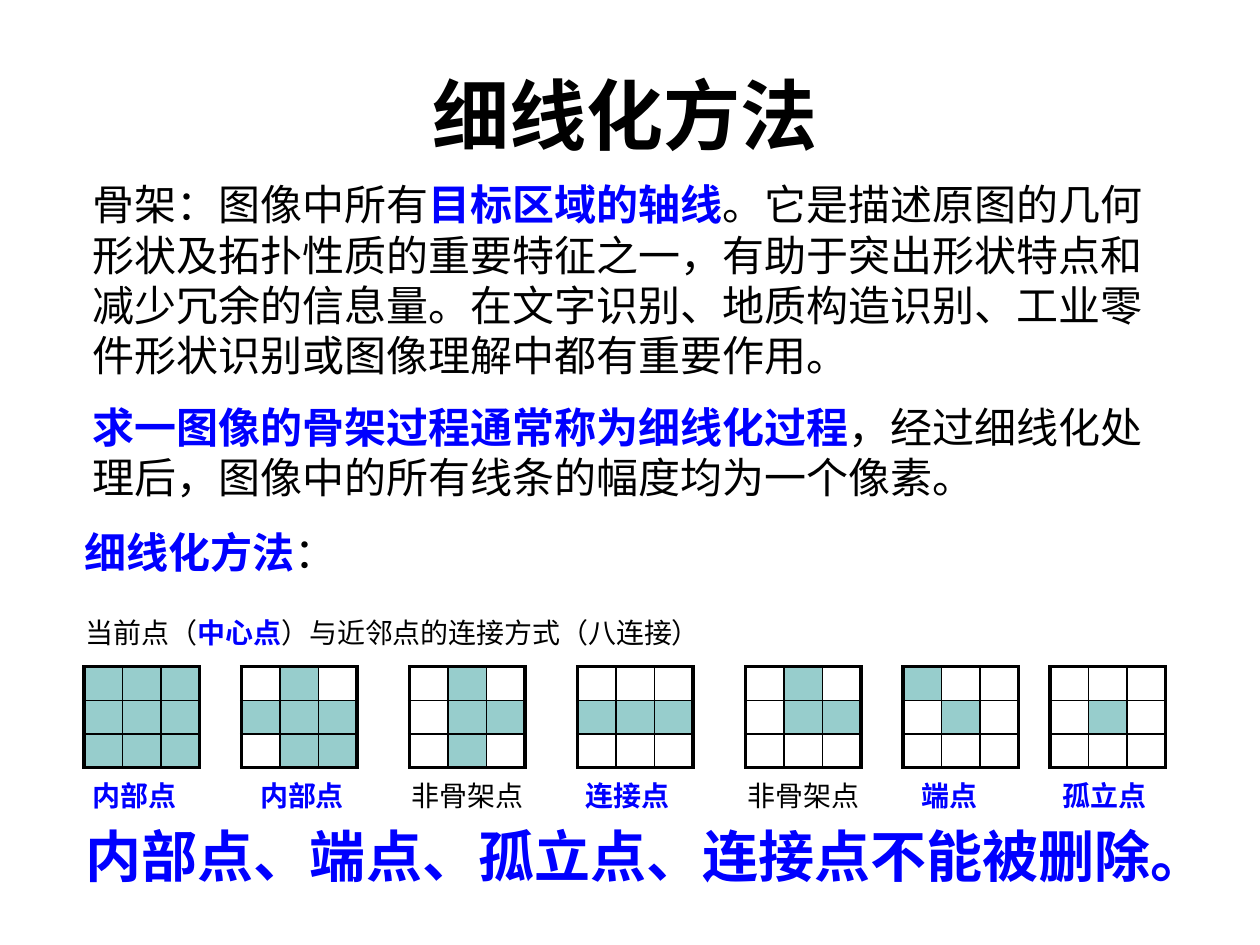
"""Build the slide on thinning methods and skeleton point types."""
from lxml import etree
from pptx import Presentation
from pptx.dml.color import RGBColor
from pptx.enum.shapes import MSO_SHAPE
from pptx.enum.text import MSO_ANCHOR, MSO_AUTO_SIZE, PP_ALIGN
from pptx.oxml.ns import qn
from pptx.util import Pt

RECTANGLE = MSO_SHAPE.RECTANGLE
TOP, BOTTOM = MSO_ANCHOR.TOP, MSO_ANCHOR.BOTTOM
LEFT, CENTER = PP_ALIGN.LEFT, PP_ALIGN.CENTER
FIXED_SIZE, FIT_SHAPE = MSO_AUTO_SIZE.NONE, MSO_AUTO_SIZE.SHAPE_TO_FIT_TEXT

COLORS = {"text": "000000", "key": "0000FF", "paper": "FFFFFF", "point": "97CDCC"}
FONT = "Times New Roman"
GRID_TOP, COLUMN_WIDTH, ROW_HEIGHT = 381, 22, 19.2
OUTER_LINE, INNER_LINE = 2.25, 1
LABEL_TOP, LABEL_SIZE = 441.6, 16

SKELETON = [
    [("骨架：图像中所有", "text"), ("目标区域的轴线", "key"),
     ("。它是描述原图的几何形状及拓扑性质的重要特征之一，有助于突出形状特点和减少冗余的信息量。"
      "在文字识别、地质构造识别、工业零件形状识别或图像理解中都有重要作用。", "text")],
    [("求一图像的骨架过程通常称为细线化过程", "key"),
     ("，经过细线化处理后，图像中的所有线条的幅度均为一个像素。", "text")],
]
METHOD = [[("细线化方法", "key"), ("：", "text")]]
CONNECTION = [[("当前点（", "text"), ("中心点", "key"),
               ("）与近邻点的连接方式（八连接）", "text")]]
CONCLUSION = [[("内部点、端点、孤立点、连接点不能被删除。", "key")]]

NEIGHBOURHOODS = [
    (48, ("###", "###", "###"), 45.6, "内部点", "key"),
    (138, (".#.", "###", ".##"), 141.6, "内部点", "key"),
    (234, (".#.", ".##", ".#."), 228, "非骨架点", "text"),
    (330, ("...", "###", "..."), 327.6, "连接点", "key"),
    (426, (".#.", ".##", "..."), 420, "非骨架点", "text"),
    (516, ("#..", ".#.", "..."), 519.6, "端点", "key"),
    (600, ("...", ".#.", "..."), 600, "孤立点", "key"),
]


def rgb(name):
    return RGBColor.from_string(COLORS[name])


def add_run(paragraph, words, size, color, bold):
    run = paragraph.add_run()
    run.text = words
    run.font.name = FONT
    run.font.size = Pt(size)
    run.font.bold = bold
    run.font.color.rgb = rgb(color)


def add_title(slide, words):
    title = slide.shapes.title
    title.left, title.top, title.width, title.height = Pt(54), Pt(42), Pt(606), Pt(52.8)
    frame = title.text_frame
    frame.auto_size = FIXED_SIZE
    frame.vertical_anchor = BOTTOM
    frame.paragraphs[0].alignment = CENTER
    add_run(frame.paragraphs[0], words, 44, "text", True)


def add_text_panel(slide, left, top, width, height, paragraphs, size, wrap=False):
    panel = slide.shapes.add_shape(RECTANGLE, Pt(left), Pt(top), Pt(width), Pt(height))
    panel.shadow.inherit = False
    panel.fill.solid()
    panel.fill.fore_color.rgb = rgb("paper")
    panel.line.color.rgb = rgb("paper")
    panel.line.width = Pt(1)
    frame = panel.text_frame
    frame.word_wrap = wrap
    frame.auto_size = FIT_SHAPE
    frame.vertical_anchor = TOP
    for index, pieces in enumerate(paragraphs):
        paragraph = frame.add_paragraph() if index else frame.paragraphs[0]
        paragraph.alignment = LEFT
        if index:
            paragraph.space_before = Pt(size / 2)
        for words, color in pieces:
            add_run(paragraph, words, size, color, color == "key")


def set_border(cell, side, width):
    border = etree.SubElement(cell._tc.get_or_add_tcPr(), qn(f"a:ln{side}"), w=str(Pt(width)))
    fill = etree.SubElement(border, qn("a:solidFill"))
    etree.SubElement(fill, qn("a:srgbClr"), val=COLORS["text"])


def add_neighbourhood(slide, left, pattern):
    count = len(pattern)
    grid = slide.shapes.add_table(count, count, Pt(left), Pt(GRID_TOP),
                                  Pt(count * COLUMN_WIDTH), Pt(count * ROW_HEIGHT)).table
    grid.first_row = grid.horz_banding = False
    for column in grid.columns:
        column.width = Pt(COLUMN_WIDTH)
    for y, marks in enumerate(pattern):
        grid.rows[y].height = Pt(ROW_HEIGHT)
        for x, mark in enumerate(marks):
            cell = grid.cell(y, x)
            cell.margin_top = cell.margin_bottom = 0
            edges = {"L": x == 0, "R": x == count - 1, "T": y == 0, "B": y == count - 1}
            for side, is_outer in edges.items():
                set_border(cell, side, OUTER_LINE if is_outer else INNER_LINE)
            cell.fill.solid()
            cell.fill.fore_color.rgb = rgb("point" if mark == "#" else "paper")
            etree.SubElement(cell.text_frame.paragraphs[0]._p, qn("a:endParaRPr"), sz="1000")


def add_point_label(slide, left, words, color):
    width = len(words) * LABEL_SIZE + 14.4
    add_text_panel(slide, left, LABEL_TOP, width, 26.6, [[(words, color)]], LABEL_SIZE)


def main():
    presentation = Presentation()
    presentation.slide_width, presentation.slide_height = Pt(720), Pt(540)
    slide = presentation.slides.add_slide(presentation.slide_layouts[5])
    add_title(slide, "细线化方法")
    add_text_panel(slide, 45.6, 98.6, 637.8, 196.6, SKELETON, 24, wrap=True)
    for grid_left, pattern, _, _, _ in NEIGHBOURHOODS:
        add_neighbourhood(slide, grid_left, pattern)
    add_text_panel(slide, 41, 297.4, 159.8, 36, METHOD, 24)
    add_text_panel(slide, 42, 348, 370, 26.6, CONNECTION, 16)
    for _, _, label_left, words, color in NEIGHBOURHOODS:
        add_point_label(slide, label_left, words, color)
    add_text_panel(slide, 42, 465.8, 661, 46, CONCLUSION, 32)
    presentation.save("out.pptx")


if __name__ == "__main__":
    main()
